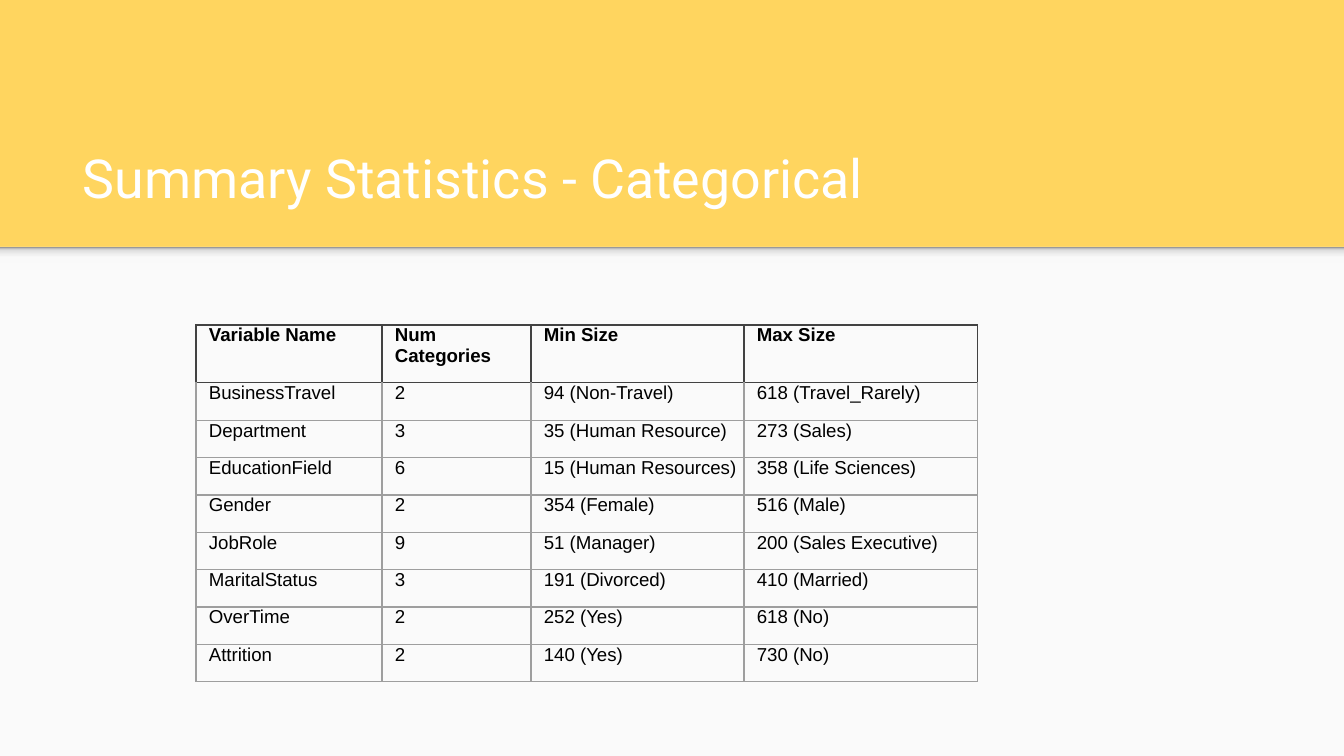
from lxml import etree
from pptx import Presentation
from pptx.dml.color import RGBColor
from pptx.enum.shapes import MSO_SHAPE
from pptx.enum.text import MSO_ANCHOR
from pptx.oxml.ns import qn
from pptx.util import Pt

RECTANGLE = MSO_SHAPE.RECTANGLE
BOTTOM = MSO_ANCHOR.BOTTOM
TOP = MSO_ANCHOR.TOP
SCALE = 914400 / 134.4
WIDTH, HEIGHT = 1344, 756
BAND_HEIGHT = 247
INSET = 13
HEADER_HEIGHT = 55
COLUMN_WIDTHS = (186, 149, 213, 234)
DARK, GREY = "424242", "9E9E9E"
SHADOW_STOPS = ((0, "F9F9F9"), (36, "F9F9F9"), (80, "DEDEDE"), (100, "999999"))
ROWS = (
    ("Variable Name", "Num Categories", "Min Size", "Max Size"),
    ("BusinessTravel", "2", "94 (Non-Travel)", "618 (Travel_Rarely)"),
    ("Department", "3", "35 (Human Resource)", "273 (Sales)"),
    ("EducationField", "6", "15 (Human Resources)", "358 (Life Sciences)"),
    ("Gender", "2", "354 (Female)", "516 (Male)"),
    ("JobRole", "9", "51 (Manager)", "200 (Sales Executive)"),
    ("MaritalStatus", "3", "191 (Divorced)", "410 (Married)"),
    ("OverTime", "2", "252 (Yes)", "618 (No)"),
    ("Attrition", "2", "140 (Yes)", "730 (No)"),
)


def px(length):
    """Turn pixels into EMU."""
    return round(length * SCALE)


def color(value):
    """Turn a hex string into a colour."""
    return RGBColor.from_string(value)


def add_span(para, text, font, size, ink, bold=False):
    """Add one styled run to a paragraph."""
    span = para.add_run()
    span.text = text
    span.font.name = font
    span.font.size = Pt(size)
    span.font.bold = bold
    span.font.color.rgb = color(ink)


def add_rectangle(page, box):
    """Add a rectangle without line or shadow."""
    shape = page.shapes.add_shape(RECTANGLE, *map(px, box))
    shape.shadow.inherit = False
    shape.line.fill.background()
    return shape


def add_panel(page, box):
    """Add the pale content panel with the soft shadow along its top edge."""
    left, top, width, _ = box
    panel = add_rectangle(page, box)
    panel.fill.solid()
    panel.fill.fore_color.rgb = color("FAFAFA")
    shadow = add_rectangle(page, (left, top, width, 16))
    shadow.fill.gradient()
    shadow.fill.gradient_angle = 90
    stops = next(shadow._element.iter(qn("a:gsLst")))
    for stop in list(stops):
        stops.remove(stop)
    for position, tone in SHADOW_STOPS:
        stop = etree.SubElement(stops, qn("a:gs"), pos=str(position * 1000))
        etree.SubElement(stop, qn("a:srgbClr"), val=tone)


def add_title(page, box, text):
    """Add the slide title, resting on the bottom of its box."""
    frame = page.shapes.add_textbox(*map(px, box)).text_frame
    frame.word_wrap = True
    frame.vertical_anchor = BOTTOM
    frame.margin_left = frame.margin_right = px(INSET)
    frame.margin_top = frame.margin_bottom = px(INSET)
    add_span(frame.paragraphs[0], text, "Roboto", 28.8, "FFFFFF")


def set_borders(cell, side_tone, top_tone):
    """Draw the four borders of a cell."""
    properties = cell._tc.get_or_add_tcPr()
    tones = {"L": side_tone, "R": side_tone, "T": top_tone, "B": side_tone}
    for side, tone in tones.items():
        line = etree.SubElement(properties, qn(f"a:ln{side}"), w=str(Pt(0.75)))
        fill = etree.SubElement(line, qn("a:solidFill"))
        etree.SubElement(fill, qn("a:srgbClr"), val=tone)


def fill_cell(cell, text, row_index):
    """Write and style one table cell."""
    header = row_index == 0
    cell.margin_left = cell.margin_bottom = px(INSET)
    cell.margin_top = cell.margin_right = 0
    cell.vertical_anchor = TOP
    set_borders(cell, DARK if header else GREY, DARK if row_index < 2 else GREY)
    cell.fill.background()
    add_span(cell.text_frame.paragraphs[0], text, "Arial", 10, "000000", header)


def add_statistics(page, box):
    """Add the table of categorical variables."""
    frame = page.shapes.add_table(len(ROWS), len(COLUMN_WIDTHS), *map(px, box))
    table = frame.table
    table.first_row = table.horz_banding = False
    for column, width in zip(table.columns, COLUMN_WIDTHS):
        column.width = px(width)
    body_height = px(box[3] - HEADER_HEIGHT) // (len(ROWS) - 1)
    for row_index, texts in enumerate(ROWS):
        row = table.rows[row_index]
        row.height = body_height if row_index else px(HEADER_HEIGHT)
        for cell, text in zip(row.cells, texts):
            fill_cell(cell, text, row_index)


def main():
    """Build and save the deck."""
    deck = Presentation()
    deck.slide_width, deck.slide_height = px(WIDTH), px(HEIGHT)
    page = deck.slides.add_slide(deck.slide_layouts[6])
    page.background.fill.solid()
    page.background.fill.fore_color.rgb = color("FFD55F")
    add_panel(page, (0, BAND_HEIGHT, WIDTH, HEIGHT - BAND_HEIGHT))
    add_title(page, (70, 109, 1208, 113), "Summary Statistics - Categorical")
    add_statistics(page, (196, 325, sum(COLUMN_WIDTHS), 354))
    deck.save("out.pptx")


if __name__ == "__main__":
    main()
